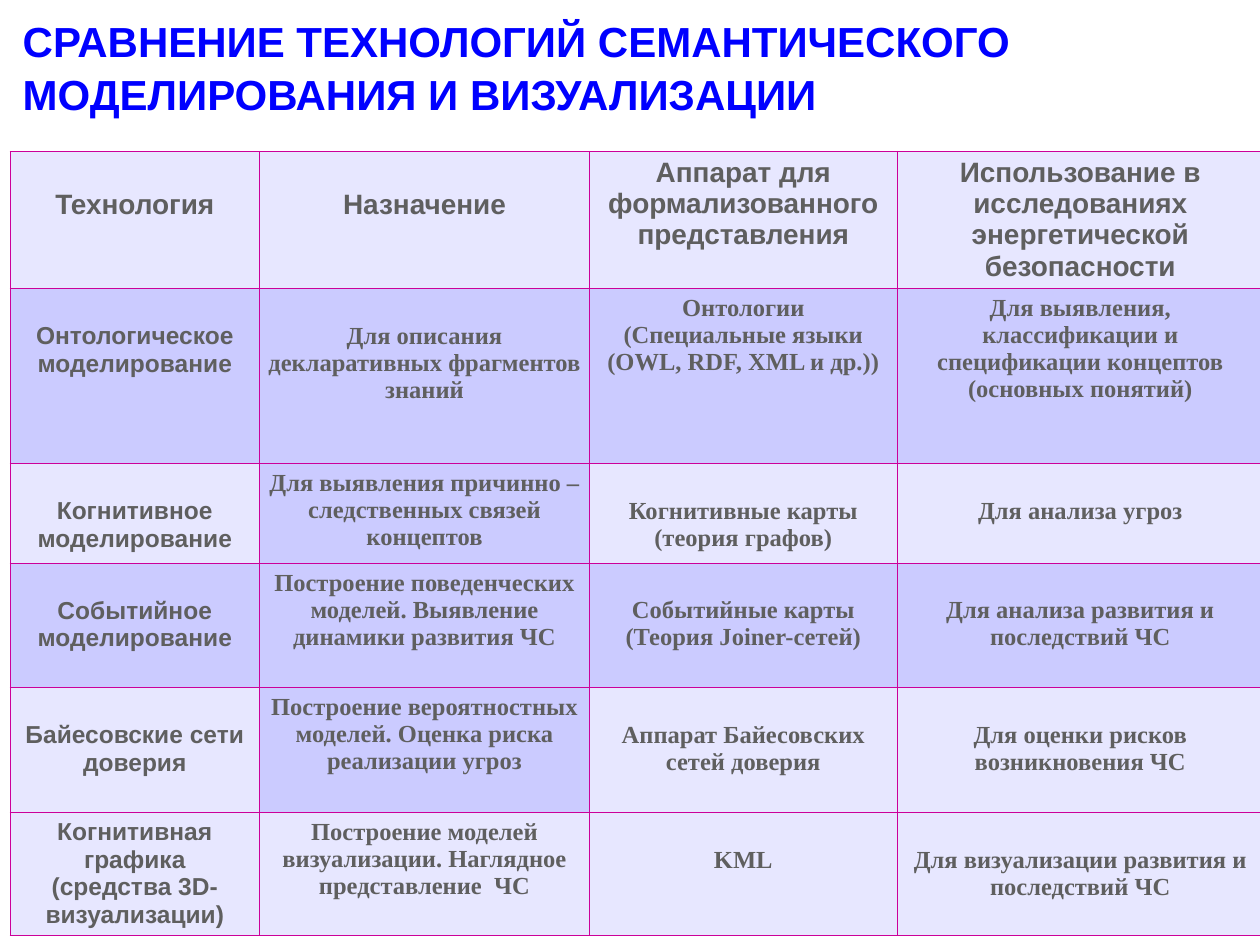
"""Build a slide comparing semantic modelling and visualization technologies."""
from lxml import etree
from pptx import Presentation
from pptx.dml.color import RGBColor
from pptx.enum.text import MSO_ANCHOR as Anchor, MSO_AUTO_SIZE as AutoSize, PP_ALIGN as Align
from pptx.oxml.ns import qn
from pptx.util import Inches, Pt


def color(value):
    return RGBColor.from_string(value)


def add_border(cell, side, width, value):
    line = etree.SubElement(cell._tc.get_or_add_tcPr(), qn(f"a:{side}"), w=str(Pt(width)))
    fill = etree.SubElement(line, qn("a:solidFill"))
    etree.SubElement(fill, qn("a:srgbClr"), val=value)


LIGHT, DARK, GRID = "E7E7FF", "CBCBFF", "CC0099"
column_widths = [1.98, 2.62, 2.44, 2.91]
row_heights = [1.07, 1.39, 0.79, 0.99, 0.99, 0.93]
comparison = [
    ["Технология", "Назначение", "Аппарат для формализованного представления",
     "Использование в исследованиях энергетической безопасности"],
    ["Онтологическое\nмоделирование", "Для описания декларативных фрагментов знаний",
     "Онтологии\n(Специальные языки (OWL, RDF, XML и др.))",
     "Для выявления, классификации и спецификации концептов (основных понятий)"],
    ["Когнитивное моделирование", "Для выявления причинно –следственных связей концептов",
     "Когнитивные карты (теория графов)", "Для анализа угроз"],
    ["Событийное моделирование",
     "Построение поведенческих моделей. Выявление динамики развития ЧС",
     "Событийные карты\n(Теория Joiner-сетей)", "Для анализа развития и последствий ЧС"],
    ["Байесовские сети доверия",
     "Построение вероятностных моделей. Оценка риска реализации угроз",
     "Аппарат Байесовских сетей доверия", "Для оценки рисков возникновения ЧС"],
    ["Когнитивная графика\n(средства 3D-визуализации)",
     "Построение моделей визуализации. Наглядное представление  ЧС",
     "KML", "Для визуализации развития и последствий ЧС"],
]
lowered_columns = [(0, 1), (0, 1), (0, 2, 3), (0, 2, 3), (0, 2, 3), (2, 3)]
dark_columns = [(), (0, 1, 2, 3), (1,), (0, 1, 2, 3), (1,), ()]

prs = Presentation()
prs.slide_width, prs.slide_height = Inches(10), Inches(7.5)
slide = prs.slides.add_slide(prs.slide_layouts[5])

title = slide.shapes.title
title.left, title.top = Inches(0.08), Inches(0.05)
title.width, title.height = Inches(9.96), Inches(0.61)
heading = title.text_frame
heading.text = "СРАВНЕНИЕ ТЕХНОЛОГИЙ СЕМАНТИЧЕСКОГО МОДЕЛИРОВАНИЯ И ВИЗУАЛИЗАЦИИ"
heading.word_wrap = True
heading.auto_size = AutoSize.NONE
heading.vertical_anchor = Anchor.TOP
heading.margin_left = heading.margin_right = Inches(0.1)
heading.margin_top = heading.margin_bottom = Inches(0.05)
heading.paragraphs[0].alignment = Align.LEFT
heading.paragraphs[0].line_spacing = 1.06
heading_font = heading.paragraphs[0].runs[0].font
heading_font.name, heading_font.size, heading_font.bold = "Arial", Pt(24), True
heading_font.color.rgb = color("0000FF")

table = slide.shapes.add_table(
    len(row_heights), len(column_widths), Inches(0.08), Inches(1.2),
    Inches(sum(column_widths)), Inches(sum(row_heights))).table
table.first_row = table.horz_banding = False
for column, width in zip(table.columns, column_widths):
    column.width = Inches(width)

last_row = len(comparison) - 1
for r, entries in enumerate(comparison):
    table.rows[r].height = Inches(row_heights[r])
    size, line_height = (16, 0.25) if r == 0 else (14, 0.22)
    for c, entry in enumerate(entries):
        cell = table.cell(r, c)
        cell.margin_left = cell.margin_right = Inches(0.07)
        cell.margin_top = Inches(0.05 + line_height * (c in lowered_columns[r]))
        cell.margin_bottom = Inches(0.05)
        cell.vertical_anchor = Anchor.TOP
        for side in ("lnL", "lnR", "lnT", "lnB"):
            thick = (r, side) in ((last_row - 1, "lnB"), (last_row, "lnT"))
            add_border(cell, side, 0.96 if thick else 0.45, GRID)
        cell.fill.solid()
        cell.fill.fore_color.rgb = color(DARK if c in dark_columns[r] else LIGHT)
        cell.text_frame.text = entry
        for paragraph in cell.text_frame.paragraphs:
            paragraph.alignment = Align.CENTER
            font = paragraph.runs[0].font
            font.name = "Arial" if r == 0 or c == 0 else "Times New Roman"
            font.size, font.bold = Pt(size), True
            font.color.rgb = color("5F5F5F")

prs.save("out.pptx")
